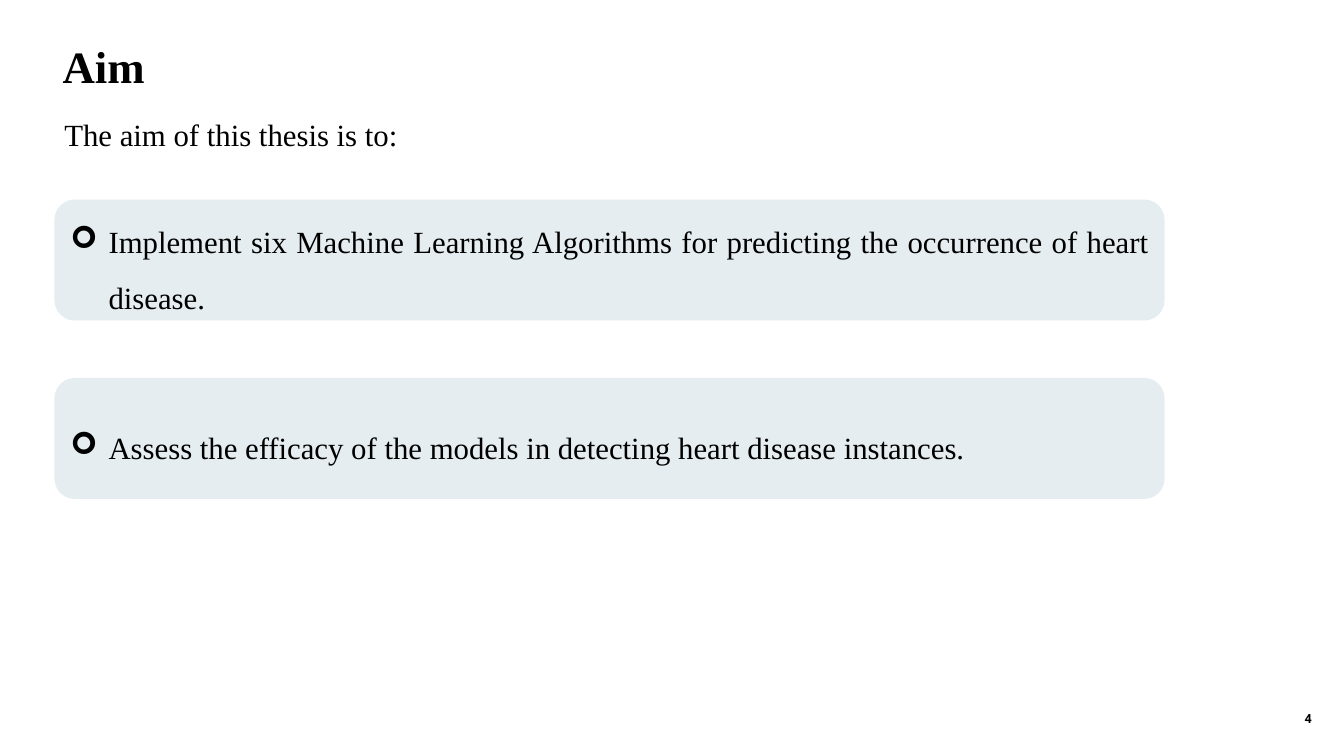
from lxml import etree
from pptx import Presentation
from pptx.dml.color import RGBColor
from pptx.enum.shapes import MSO_SHAPE
from pptx.enum.text import MSO_ANCHOR, MSO_AUTO_SIZE, PP_ALIGN
from pptx.oxml.ns import qn
from pptx.util import Inches, Pt

ROUNDED_BOX = MSO_SHAPE.FLOWCHART_ALTERNATE_PROCESS
TOP, MIDDLE = MSO_ANCHOR.TOP, MSO_ANCHOR.MIDDLE
LEFT, RIGHT, JUSTIFY = PP_ALIGN.LEFT, PP_ALIGN.RIGHT, PP_ALIGN.JUSTIFY
NO_AUTOFIT = MSO_AUTO_SIZE.NONE
SERIF, SANS = "Times New Roman", "Roboto"

AIMS = [
    "Implement six Machine Learning Algorithms for predicting the occurrence of heart disease.",
    "Assess the efficacy of the models in detecting heart disease instances.",
]
BOX_TOP, BOX_STEP = 1.98, 1.77
BULLET_INDENT = Inches(0.38)


def color(hex_code):
    return RGBColor.from_string(hex_code)


def write(shape, text, size, alignment, anchor=TOP, font=SERIF, bold=False):
    """Fill the shape with one wrapped black line of text; return its paragraph."""
    frame = shape.text_frame
    frame.word_wrap = True
    frame.auto_size = NO_AUTOFIT
    frame.vertical_anchor = anchor
    paragraph = frame.paragraphs[0]
    paragraph.alignment = alignment
    run = paragraph.add_run()
    run.text = text
    run.font.name = font
    run.font.size = Pt(size)
    run.font.bold = bold
    run.font.color.rgb = color("000000")
    return paragraph


presentation = Presentation()
presentation.slide_width = Inches(13.33)
presentation.slide_height = Inches(7.5)
slide = presentation.slides.add_slide(presentation.slide_layouts[5])

# Title
title = slide.shapes.title
title.left, title.top = Inches(0.52), Inches(0.23)
title.width, title.height = Inches(11.62), Inches(0.6)
heading = write(title, "Aim", 32, LEFT, bold=True)
heading.line_spacing = 1.2
heading.space_before = Pt(10)

# Introduction
intro_box = slide.shapes.add_textbox(Inches(0.54), Inches(0.92), Inches(11.47), Inches(0.59))
intro = write(intro_box, "The aim of this thesis is to:", 22, JUSTIFY)
intro.line_spacing = 1.5
intro.space_after = Pt(6)

# Aims, one bulleted box each
for index, aim in enumerate(AIMS):
    box = slide.shapes.add_shape(
        ROUNDED_BOX, Inches(0.54), Inches(BOX_TOP + index * BOX_STEP), Inches(11.01), Inches(1.2)
    )
    box.shadow.inherit = False
    box.fill.solid()
    box.fill.fore_color.rgb = color("E5EDF0")
    box.line.fill.background()
    paragraph = write(box, aim, 22, JUSTIFY, MIDDLE)
    paragraph.line_spacing = 1.5
    paragraph.space_after = Pt(6)
    properties = paragraph._p.get_or_add_pPr()
    properties.set("marL", str(BULLET_INDENT))
    properties.set("indent", str(-BULLET_INDENT))
    etree.SubElement(properties, qn("a:buFont"), typeface="Wingdings")
    etree.SubElement(properties, qn("a:buChar"), char="➢")

# Slide number
number_box = slide.shapes.add_textbox(Inches(12.52), Inches(6.93), Inches(0.59), Inches(0.4))
write(number_box, "4", 9, RIGHT, MIDDLE, SANS, bold=True)

presentation.save("out.pptx")
